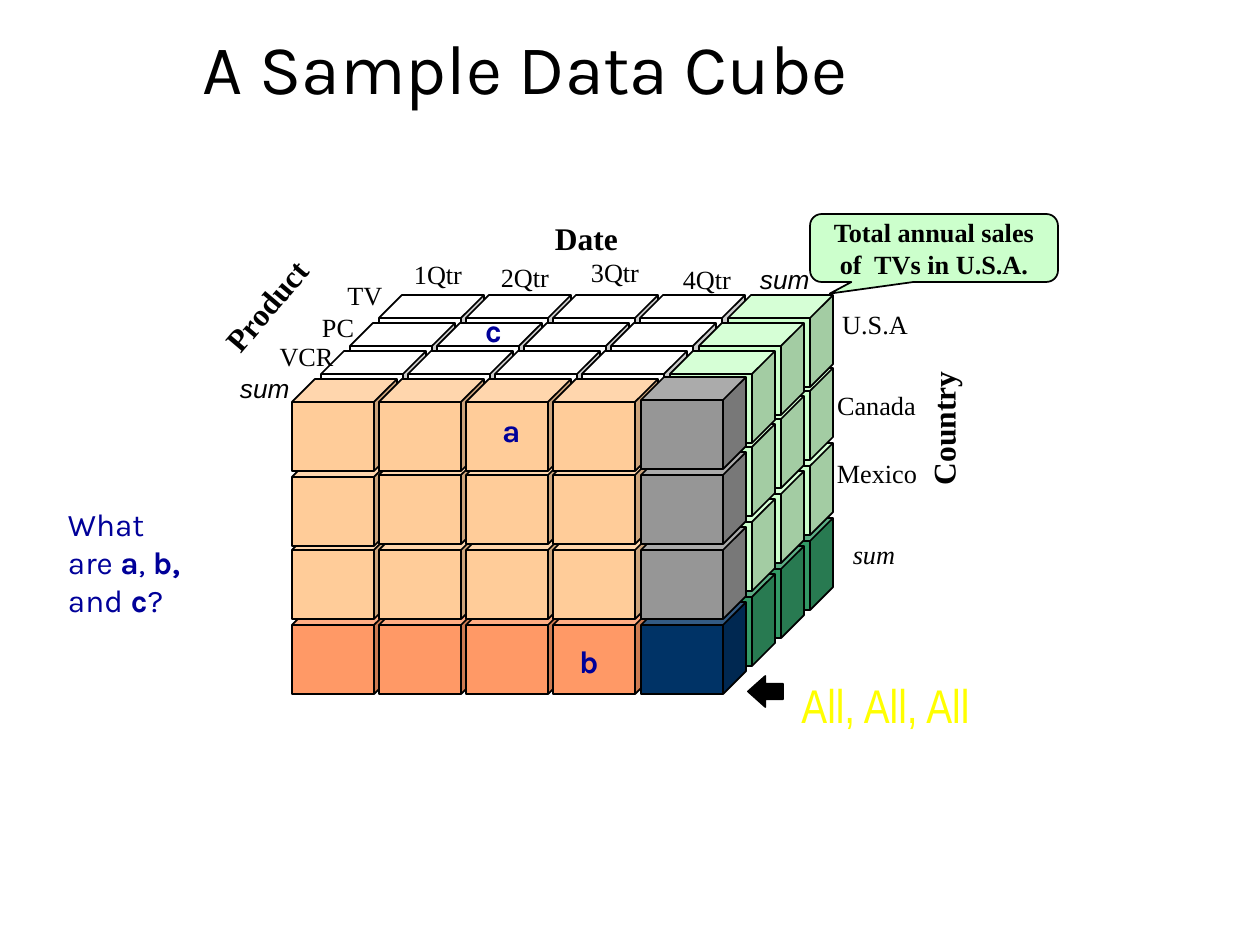
from pptx import Presentation
from pptx.dml.color import RGBColor
from pptx.enum.shapes import MSO_SHAPE
from pptx.enum.text import MSO_ANCHOR, MSO_AUTO_SIZE, PP_ALIGN
from pptx.util import Pt

PX = 914400 / 126
SERIF, SANS, NARROW, KARLA = "Times New Roman", "Arial", "Arial Narrow", "Karla"
COLORS = {
    "black": "000000",
    "navy": "000099",
    "yellow": "FFFF00",
    "detail": "FFFFFF",
    "date_sum": "CCFFCC",
    "date_country_sum": "339966",
    "product_sum": "FFCC99",
    "product_country_sum": "FF9966",
    "product_date_sum": "969696",
    "all_sum": "003366",
}


def add_shape(kind, left, top, width, height, color, adjustments):
    shape = page.shapes.add_shape(kind, *(round(n * PX) for n in (left, top, width, height)))
    shape.shadow.inherit = False
    shape.fill.solid()
    shape.fill.fore_color.rgb = RGBColor.from_string(COLORS[color])
    shape.line.color.rgb = RGBColor.from_string(COLORS["black"])
    shape.line.width = Pt(1)
    for index, value in enumerate(adjustments):
        shape.adjustments[index] = value
    return shape


def fill_text(box, lines, font, size, color="black", italic=False,
              align=PP_ALIGN.CENTER, inset=(13, 6), wrap=False):
    frame = box.text_frame
    frame.word_wrap = wrap
    frame.auto_size = MSO_AUTO_SIZE.NONE
    frame.margin_left = frame.margin_right = round(inset[0] * PX)
    frame.margin_top = frame.margin_bottom = round(inset[1] * PX)
    for index, spans in enumerate(lines):
        para = frame.paragraphs[0] if index == 0 else frame.add_paragraph()
        para.alignment = align
        for text, bold in spans:
            span = para.add_run()
            span.text = text
            span.font.name = font
            span.font.size = Pt(size)
            span.font.bold = bold
            span.font.italic = italic
            span.font.color.rgb = RGBColor.from_string(COLORS[color])


deck = Presentation()
deck.slide_width, deck.slide_height = round(1260 * PX), round(945 * PX)
page = deck.slides.add_slide(deck.slide_layouts[5])

title = page.shapes.title
title.left, title.top, title.width, title.height = (round(n * PX) for n in (194, 42, 811, 59))
fill_text(title, [[("A Sample Data Cube", False)]], KARLA, 40,
          align=PP_ALIGN.LEFT, inset=(9, 5), wrap=True)
title.text_frame.vertical_anchor = MSO_ANCHOR.MIDDLE
title.text_frame.paragraphs[0].line_spacing = 0.9

callout = add_shape(MSO_SHAPE.ROUNDED_RECTANGULAR_CALLOUT, 810, 214, 248, 68,
                    "date_sum", (-0.42, 0.67, 0.17))
fill_text(callout, [[("Total annual sales", True)], [("of  TVs in U.S.A.", True)]],
          SERIF, 15, inset=(9, 5))
callout.text_frame.vertical_anchor = MSO_ANCHOR.MIDDLE

add_shape(MSO_SHAPE.LEFT_ARROW, 748, 676, 35, 31, "black", (0.5, 0.56))

row_tops = [295, 368, 443, 518]
last_depth, last_row, last_column = 3, 3, 4
for depth in range(last_depth + 1):
    in_front = depth == last_depth
    for row in reversed(range(last_row + 1)):
        for column in range(last_column + 1):
            at_end = column == last_column
            if not (in_front or at_end or row == 0):
                continue
            sums = [name for name, summed in (("product", in_front), ("date", at_end),
                                              ("country", row == last_row)) if summed]
            color = "_".join(sums + ["sum"]) if sums else "detail"
            if len(sums) == 3:
                color = "all_sum"
            nudge = 0
            if in_front and (row, column) == (0, last_column):
                nudge = -2
            elif in_front and (row, column) == (1, 0):
                nudge = 2
            add_shape(MSO_SHAPE.CUBE, 379 - 29 * depth + 349 * column // last_column,
                      row_tops[row] + 28 * depth + nudge, 105, 92, color, (0.25,))

member_labels = [
    ("TV", 335, 273, 60, False), ("PC", 309, 305, 58, False), ("VCR", 266, 334, 81, False),
    ("1Qtr", 401, 252, 74, False), ("2Qtr", 488, 255, 74, False),
    ("3Qtr", 578, 250, 74, False), ("4Qtr", 670, 257, 74, False),
    ("U.S.A", 829, 302, 92, False), ("Canada", 824, 383, 105, False),
    ("Mexico", 824, 451, 106, False), ("sum", 840, 532, 68, True),
]
for text, left, top, width, italic in member_labels:
    box = page.shapes.add_textbox(*(round(n * PX) for n in (left, top, width, 44)))
    fill_text(box, [[(text, False)]], SERIF, 15, italic=italic)

for left, top in [(231, 367), (751, 258)]:
    box = page.shapes.add_textbox(*(round(n * PX) for n in (left, top, 69, 42)))
    fill_text(box, [[("sum", False)]], SANS, 15, italic=True,
              align=PP_ALIGN.LEFT, inset=(9, 5))

axis_labels = [("Date", 546, 214, 82, 0), ("Product", 203, 281, 127, 310.3),
               ("Country", 876, 403, 134, 270)]
for text, left, top, width, rotation in axis_labels:
    box = page.shapes.add_textbox(*(round(n * PX) for n in (left, top, width, 48)))
    box.rotation = rotation
    fill_text(box, [[(text, True)]], SERIF, 18, align=PP_ALIGN.LEFT, inset=(9, 5))

for text, left, top in [("a", 489, 405), ("b", 566, 636), ("c", 472, 305)]:
    box = page.shapes.add_textbox(*(round(n * PX) for n in (left, top, 43, 50)))
    fill_text(box, [[(text, True)]], KARLA, 18, "navy", align=PP_ALIGN.LEFT)

question = page.shapes.add_textbox(*(round(n * PX) for n in (55, 499, 151, 127)))
fill_text(question, [[("What are ", False), ("a", True), (", ", False), ("b, ", True),
                      ("and", False), (" c", True), ("?", False)]],
          KARLA, 18, "navy", align=PP_ALIGN.LEFT, wrap=True)

total = page.shapes.add_textbox(*(round(n * PX) for n in (805, 670, 161, 48)))
fill_text(total, [[("All, All, All", False)]], NARROW, 27, "yellow")

deck.save("out.pptx")
